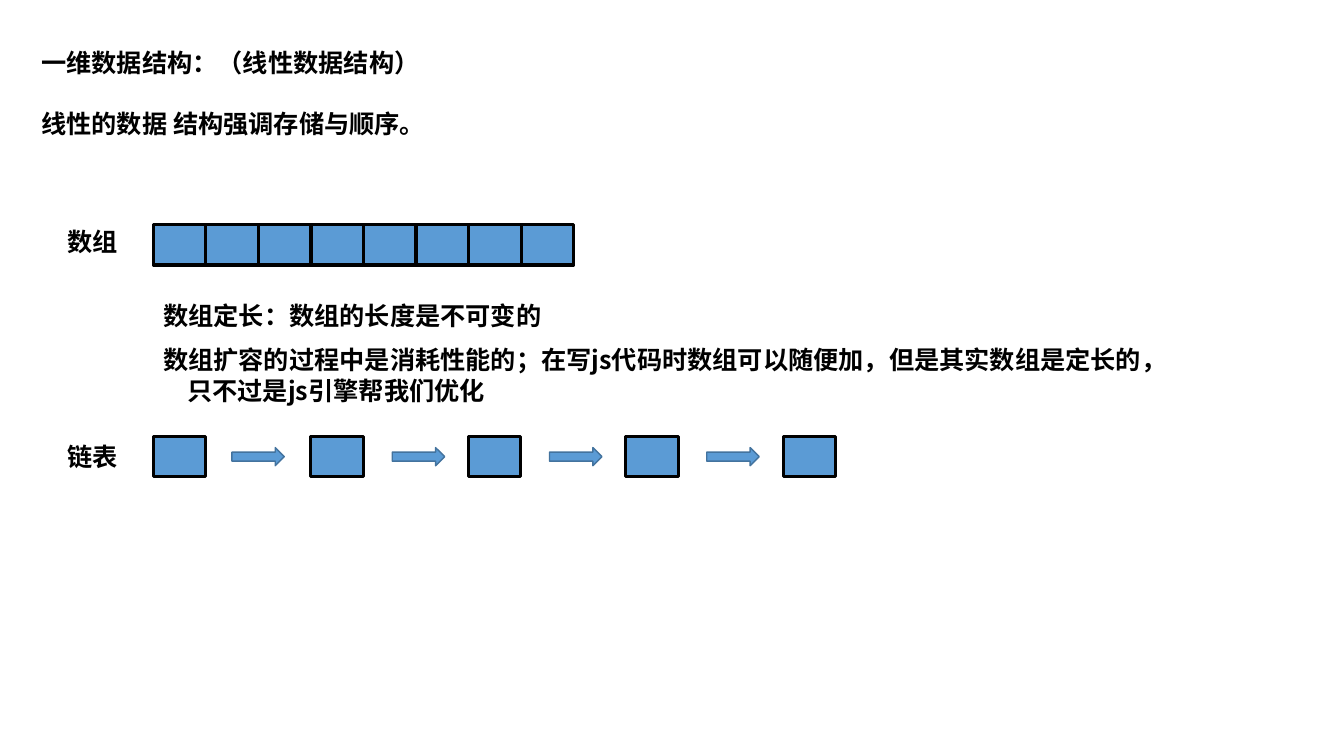
import pptx
import pptx.util
import pptx.dml.color
import pptx.enum.shapes
import pptx.enum.text
import pptx.oxml
import pptx.oxml.ns

Inches = pptx.util.Inches
Pt = pptx.util.Pt
Color = pptx.dml.color.RGBColor
Shape = pptx.enum.shapes.MSO_SHAPE
Enum = pptx.enum.text

BLACK = Color(0x00, 0x00, 0x00)
BLUE = Color(0x5B, 0x9B, 0xD5)
STEEL = Color(0x43, 0x73, 0x9E)
FACE = "Noto Sans CJK SC"
LINE = Pt(21.6)


def apply(item, values):
    for name, value in values.items():
        setattr(item, name, value)


class Page:
    font = {"name": FACE, "size": Pt(18), "bold": True}
    para = {"alignment": Enum.PP_ALIGN.LEFT, "line_spacing": LINE}
    frame = {
        "word_wrap": False,
        "auto_size": Enum.MSO_AUTO_SIZE.SHAPE_TO_FIT_TEXT,
        "vertical_anchor": Enum.MSO_ANCHOR.TOP,
        "margin_left": Inches(0.1),
        "margin_right": Inches(0.1),
        "margin_top": Inches(0.05),
        "margin_bottom": Inches(0.05),
    }

    def __init__(self, deck):
        self.slide = deck.slides.add_slide(deck.slide_layouts[5])

    def fill(self, box, lines, gap=0, indent=0):
        frame = box.text_frame
        frame.text = "\n".join(lines)
        apply(frame, self.frame)
        for index, para in enumerate(frame.paragraphs):
            apply(para, self.para)
            para.space_before = gap if index else Pt(0)
            if index and indent:
                para._p.get_or_add_pPr().set("marL", str(indent))
            for run in para.runs:
                apply(run.font, self.font)
                run.font.color.rgb = BLACK
                east = pptx.oxml.parse_xml(
                    f'<a:ea {pptx.oxml.ns.nsdecls("a")} typeface="{FACE}"/>')
                run._r.get_or_add_rPr().append(east)

    def title(self, left, top, width, height, lines, gap):
        box = self.slide.shapes.title
        apply(box, {"left": Inches(left), "top": Inches(top),
                    "width": Inches(width), "height": Inches(height)})
        self.fill(box, lines, gap)

    def text(self, left, top, width, height, lines, indent=0):
        box = self.slide.shapes.add_textbox(
            Inches(left), Inches(top), Inches(width), Inches(height))
        self.fill(box, lines, indent=indent)

    def block(self, kind, left, top, height, edge, weight):
        shape = self.slide.shapes.add_shape(
            kind, Inches(left), Inches(top), Inches(0.52), Inches(height))
        shape.shadow.inherit = False
        shape.fill.solid()
        shape.fill.fore_color.rgb = BLUE
        shape.line.color.rgb = edge
        shape.line.width = Pt(weight)

    def cell(self, left, top):
        self.block(Shape.RECTANGLE, left, top, 0.4, BLACK, 2.25)

    def arrow(self, left, top):
        self.block(Shape.RIGHT_ARROW, left, top, 0.18, STEEL, 1)


deck = pptx.Presentation()
apply(deck, {"slide_width": Inches(13.33), "slide_height": Inches(7.5)})
page = Page(deck)

page.title(0.31, 0.42, 4.11, 1.01,
           ["一维数据结构：（线性数据结构）", "线性的数据 结构强调存储与顺序。"], LINE)
for label, top in (("数组", 2.2), ("链表", 4.33)):
    page.text(0.57, top, 0.71, 0.4, [label])

START = 1.52
for index in range(8):
    page.cell(START + 3.65 * index / 7, 2.23)
for index in range(5):
    page.cell(START + 6.25 * index / 4, 4.33)
for left in (2.3, 3.89, 5.45, 7.01):
    page.arrow(left, 4.44)

page.text(START, 2.93, 4.01, 0.4, ["数组定长：数组的长度是不可变的"])
page.text(START, 3.37, 10.37, 0.71,
          ["数组扩容的过程中是消耗性能的；在写js代码时数组可以随便加，但是其实数组是定长的，",
           "只不过是js引擎帮我们优化"], indent=Inches(0.24))

deck.save("out.pptx")
